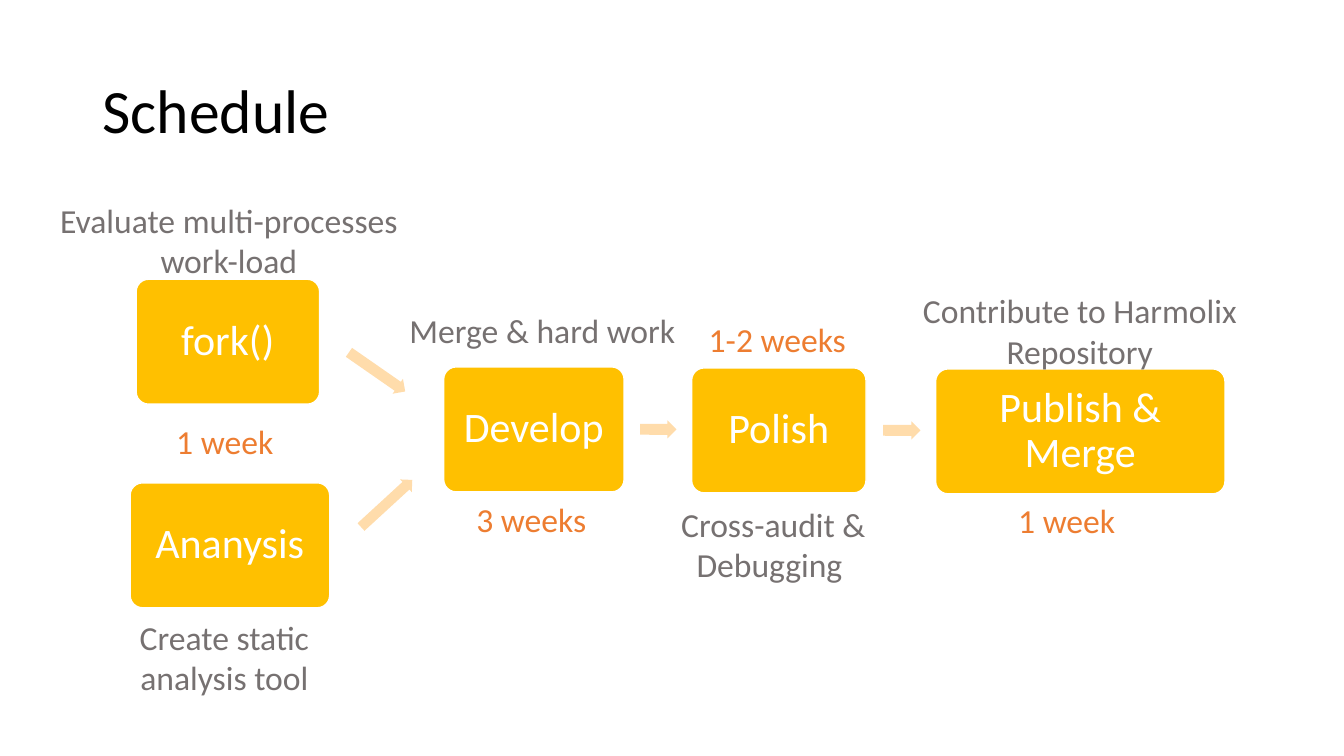
"""Build the project schedule slide: a flow of stages with tasks and durations."""
from pptx import Presentation
from pptx.dml.color import RGBColor
from pptx.enum.shapes import MSO_SHAPE as SHAPE
from pptx.enum.text import MSO_ANCHOR as ANCHOR, MSO_AUTO_SIZE as FIT, PP_ALIGN as ALIGN
from pptx.util import Pt

PX = 9144
FONT = "Calibri"
BLACK = RGBColor(0x00, 0x00, 0x00)
WHITE = RGBColor(0xFF, 0xFF, 0xFF)
GOLD = RGBColor(0xFF, 0xC0, 0x00)
PEACH = RGBColor(0xFF, 0xDC, 0xAB)
GREY = RGBColor(0x76, 0x71, 0x71)
ORANGE = RGBColor(0xED, 0x7D, 0x31)

STAGE_H, STAGE_INSET = 124, 16
TITLE = ("Schedule", (92, 40, 1150, 145))
STAGES = [
    ("Ananysis", 129, 479, 198),
    ("fork()", 135, 277, 182),
    ("Develop", 440, 364, 179),
    ("Polish", 686, 365, 173),
    ("Publish & Merge", 928, 366, 287),
]
ARROWS = [
    ((349, 491, 69, 17), 317.4),
    ((340, 360, 68, 18), 34.8),
    ((635, 417, 36, 18), 0.3),
    ((876, 418, 37, 18), 0.2),
]
TASKS = [
    ("Evaluate multi-processes work-load", (42, 193, 370, 91)),
    ("Create static analysis tool", (92, 607, 261, 91)),
    ("Merge & hard work", (353, 303, 370, 50)),
    ("Cross-audit & Debugging ", (610, 495, 314, 91)),
    ("Contribute to Harmolix Repository", (886, 283, 370, 91)),
]
DURATIONS = [
    ("1 week", (38, 413, 370, 50)),
    ("3 weeks", (342, 490, 370, 50)),
    ("1-2 weeks", (586, 311, 370, 50)),
    ("1 week", (873, 491, 370, 50)),
]


def emu(box):
    return [v * PX for v in box]


def write(sp, text, size, color, align=ALIGN.CENTER, spacing=None, **frame):
    tf = sp.text_frame
    for name, value in {"word_wrap": True, **frame}.items():
        setattr(tf, name, value)
    p = tf.paragraphs[0]
    p.alignment, p.line_spacing = align, spacing
    r = p.add_run()
    r.text = text
    for name, value in {"name": FONT, "size": Pt(size)}.items():
        setattr(r.font, name, value)
    r.font.color.rgb = color


def add_block(shapes, kind, box, fill, adjustments):
    sp = shapes.add_shape(kind, *emu(box))
    sp.shadow.inherit = False
    sp.fill.solid()
    sp.fill.fore_color.rgb = fill
    for i, value in enumerate(adjustments):
        sp.adjustments[i] = value
    return sp


def main():
    prs = Presentation()
    prs.slide_width, prs.slide_height = emu((1333, 750))
    shapes = prs.slides.add_slide(prs.slide_layouts[6]).shapes

    text, box = TITLE
    write(shapes.add_textbox(*emu(box)), text, 44, BLACK, ALIGN.LEFT, 0.9,
          vertical_anchor=ANCHOR.MIDDLE)

    sides = ("left", "top", "right", "bottom")
    insets = {f"margin_{side}": STAGE_INSET * PX for side in sides}
    for text, x, y, w in STAGES:
        sp = add_block(shapes, SHAPE.ROUNDED_RECTANGLE, (x, y, w, STAGE_H), GOLD, [0.1])
        sp.line.color.rgb = WHITE
        sp.line.width = Pt(1)
        write(sp, text, 30, WHITE, spacing=0.9, vertical_anchor=ANCHOR.MIDDLE, **insets)

    for box, angle in ARROWS:
        sp = add_block(shapes, SHAPE.RIGHT_ARROW, box, PEACH, [0.6, 0.5])
        sp.line.fill.background()
        sp.rotation = angle

    for labels, color in ((TASKS, GREY), (DURATIONS, ORANGE)):
        for text, box in labels:
            write(shapes.add_textbox(*emu(box)), text, 24, color,
                  auto_size=FIT.SHAPE_TO_FIT_TEXT)

    prs.save("out.pptx")


if __name__ == "__main__":
    main()
